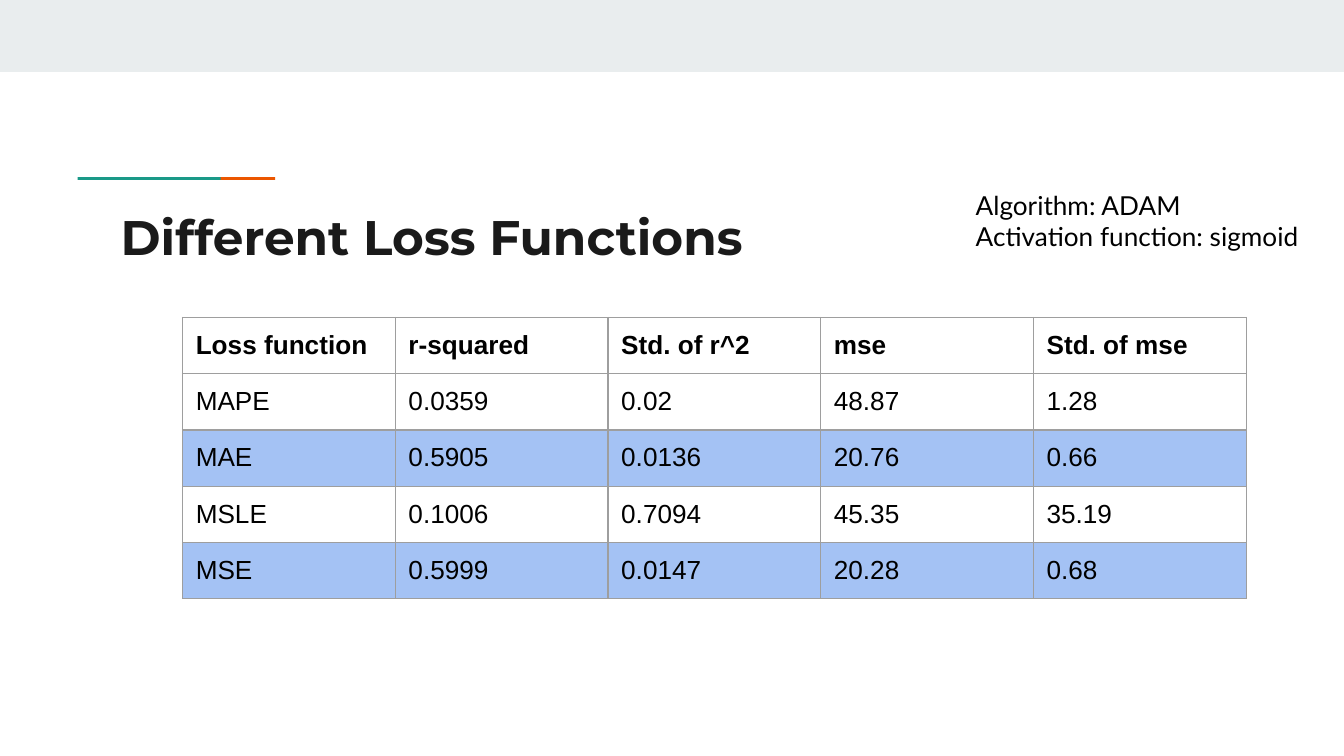
import pptx
import pptx.util
import pptx.oxml
import pptx.oxml.ns
import pptx.dml.color
import pptx.enum.shapes
import pptx.enum.text

Cm = pptx.util.Cm
Pt = pptx.util.Pt
HUES = {"band": "E9EDEE", "teal": "1A9988", "rust": "EB5600", "title": "1A1A1A",
        "text": "000000", "grid": "9E9E9E", "mark": "A4C2F4"}
HEAD = {"name": "Montserrat", "size": Pt(26), "bold": True}
NOTE = {"name": "Lato", "size": Pt(14), "bold": False}
CELL = {"name": "Arial", "size": Pt(14), "bold": False}
INSET = {"margin_left": Cm(0.25), "margin_right": Cm(0.25),
         "margin_top": Cm(0.25), "margin_bottom": Cm(0.25)}
FRAME = {**INSET, "word_wrap": True,
         "auto_size": pptx.enum.text.MSO_AUTO_SIZE.NONE,
         "vertical_anchor": pptx.enum.text.MSO_ANCHOR.TOP}
PLAIN = {"first_row": False, "horz_banding": False}
ROWS = [
    ["Loss function", "r-squared", "Std. of r^2", "mse", "Std. of mse"],
    ["MAPE", "0.0359", "0.02", "48.87", "1.28"],
    ["MAE", "0.5905", "0.0136", "20.76", "0.66"],
    ["MSLE", "0.1006", "0.7094", "45.35", "35.19"],
    ["MSE", "0.5999", "0.0147", "20.28", "0.68"],
]
MARKED = {"MAE", "MSE"}


def apply(item, values):
    for key, value in values.items():
        setattr(item, key, value)


def color(hue):
    return pptx.dml.color.RGBColor.from_string(HUES[hue])


def write(frame, lines, style, hue):
    frame.text = "\n".join(lines)
    for para in frame.paragraphs:
        para.alignment = pptx.enum.text.PP_ALIGN.LEFT
        for run in para.runs:
            apply(run.font, style)
            run.font.color.rgb = color(hue)


def bar(slide, box, hue):
    kind = pptx.enum.shapes.MSO_SHAPE.RECTANGLE
    shape = slide.shapes.add_shape(kind, *map(Cm, box))
    shape.shadow.inherit = False
    shape.fill.solid()
    shape.fill.fore_color.rgb = color(hue)
    shape.line.fill.background()


def accent(slide, box):
    left, top, width, height = box
    step = 1.03
    for hue, shift in (("rust", step), ("teal", 0)):
        bar(slide, (left + shift, top, width - step, height), hue)


def title(slide, box, text):
    shape = slide.shapes.title
    apply(shape, dict(zip(("left", "top", "width", "height"), map(Cm, box))))
    apply(shape.text_frame, FRAME)
    write(shape.text_frame, [text], HEAD, "title")


def note(slide, box, lines):
    frame = slide.shapes.add_textbox(*map(Cm, box)).text_frame
    apply(frame, FRAME)
    write(frame, lines, NOTE, "text")


def border(cell):
    props = cell._tc.get_or_add_tcPr()
    for side in ("lnL", "lnR", "lnT", "lnB"):
        props.append(pptx.oxml.parse_xml(
            f'<a:{side} {pptx.oxml.ns.nsdecls("a")} w="{Pt(0.75)}"><a:solidFill>'
            f'<a:srgbClr val="{HUES["grid"]}"/></a:solidFill></a:{side}>'))


def grid(slide, box, rows):
    left, top, width, height = box
    table = slide.shapes.add_table(len(rows), len(rows[0]), *map(Cm, box)).table
    apply(table, PLAIN)
    for col in table.columns:
        col.width = Cm(width / len(rows[0]))
    for r, row in enumerate(rows):
        table.rows[r].height = Cm(height / len(rows))
        for c, text in enumerate(row):
            cell = table.cell(r, c)
            apply(cell, INSET)
            border(cell)
            if row[0] in MARKED:
                cell.fill.solid()
                cell.fill.fore_color.rgb = color("mark")
            else:
                cell.fill.background()
            write(cell.text_frame, [text], {**CELL, "bold": r == 0}, "text")


def build():
    deck = pptx.Presentation()
    apply(deck, {"slide_width": Cm(25.4), "slide_height": Cm(14.29)})
    slide = deck.slides.add_slide(deck.slide_layouts.get_by_name("Title Only"))
    bar(slide, (0, 0, 25.4, 1.36), "band")
    accent(slide, (1.47, 3.35, 3.73, 0.05))
    title(slide, (2.03, 3.66, 21.36, 1.5), "Different Loss Functions")
    grid(slide, (3.45, 6, 20.1, 5.32), ROWS)
    note(slide, (18.19, 3.33, 7.21, 2.21),
         ["Algorithm: ADAM", "Activation function: sigmoid"])
    deck.save("out.pptx")


build()
